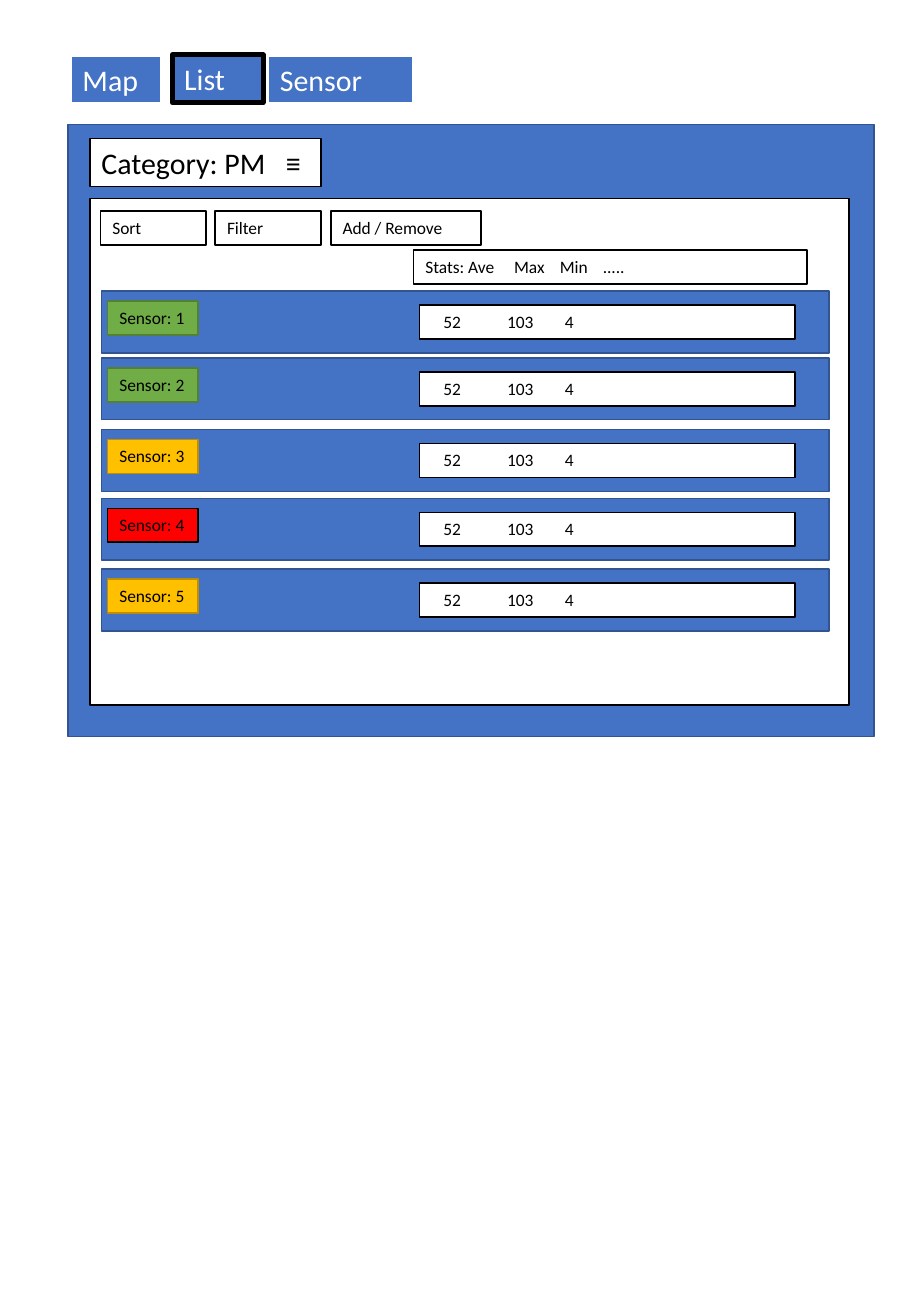
from lxml import etree
from pptx import Presentation
from pptx import util as u
from pptx.dml.color import RGBColor
from pptx.enum import shapes, text
from pptx.oxml.ns import qn

PX = u.Inches(1) // 120
COLORS = {
    "white": "FFFFFF", "black": "000000",
    "blue": "4472C4", "navy": "325491",
    "green": "70AD47", "dark_green": "538035",
    "amber": "FFC000", "dark_amber": "BD8E00",
    "red": "FF0000",
}
ROWS = [
    (292, "green", "dark_green"),
    (359, "green", "dark_green"),
    (431, "amber", "dark_amber"),
    (500, "red", "black"),
    (571, "amber", "dark_amber"),
]


def color(name):
    return RGBColor.from_string(COLORS[name])


def add_box(parent, left, top, width, height, fill="white", line="black", weight=1):
    box = parent.shapes.add_shape(
        shapes.MSO_SHAPE.RECTANGLE, left * PX, top * PX, width * PX, height * PX)
    box.shadow.inherit = False
    box.fill.solid()
    box.fill.fore_color.rgb = color(fill)
    box.line.color.rgb = color(line)
    box.line.width = u.Pt(weight)
    return box


def set_tabs(para, stops):
    tab_list = etree.SubElement(para._p.get_or_add_pPr(), qn("a:tabLst"))
    for stop in stops:
        etree.SubElement(tab_list, qn("a:tab"), pos=str(stop * PX), algn="l")


def write(box, words, size=10.5, ink="black", stops=()):
    frame = box.text_frame
    frame.word_wrap = True
    frame.auto_size = text.MSO_AUTO_SIZE.SHAPE_TO_FIT_TEXT
    frame.vertical_anchor = text.MSO_ANCHOR.TOP
    para = frame.paragraphs[0]
    para.text = words
    para.alignment = text.PP_ALIGN.LEFT
    if stops:
        set_tabs(para, stops)
    para.font.name = "Calibri"
    para.font.size = u.Pt(size)
    para.font.color.rgb = color(ink)


def add_view_tab(page, words, left, top, width, line="white", weight=1.5):
    box = add_box(page, left, top, width, 48, "blue", line, weight)
    write(box, words, 18, "white")


def add_sensor_row(page, number, top, fill, line):
    row = page.shapes.add_group_shape()
    add_box(row, 102, top, 730, 62, "blue", "navy")
    write(add_box(row, 108, top + 10, 91, 34, fill, line), f"Sensor: {number}")
    values = add_box(row, 421, top + 14, 377, 34)
    write(values, "\t52\t103\t4", stops=(12, 76, 134))


def main():
    deck = Presentation()
    deck.slide_width, deck.slide_height = 900 * PX, 1320 * PX
    page = deck.slides.add_slide(deck.slide_layouts[6])

    add_view_tab(page, "List", 173, 55, 91, "black", 3)
    add_view_tab(page, "Map", 71, 56, 91)
    add_view_tab(page, "Sensor", 269, 56, 146)

    add_box(page, 68, 125, 809, 614, "blue", "navy")
    write(add_box(page, 90, 139, 232, 48), "Category: PM\t≡", 18, stops=(185,))
    add_box(page, 90, 199, 762, 508)
    write(add_box(page, 415, 251, 395, 34), "Stats: Ave\tMax\tMin\t.....",
          stops=(89, 135, 178))

    for number, (top, fill, line) in enumerate(ROWS, 1):
        add_sensor_row(page, number, top, fill, line)

    for words, left, width in (("Sort", 101, 106), ("Filter", 216, 106),
                               ("Add / Remove", 332, 151)):
        write(add_box(page, left, 212, width, 34), words)

    deck.save("out.pptx")


if __name__ == "__main__":
    main()
